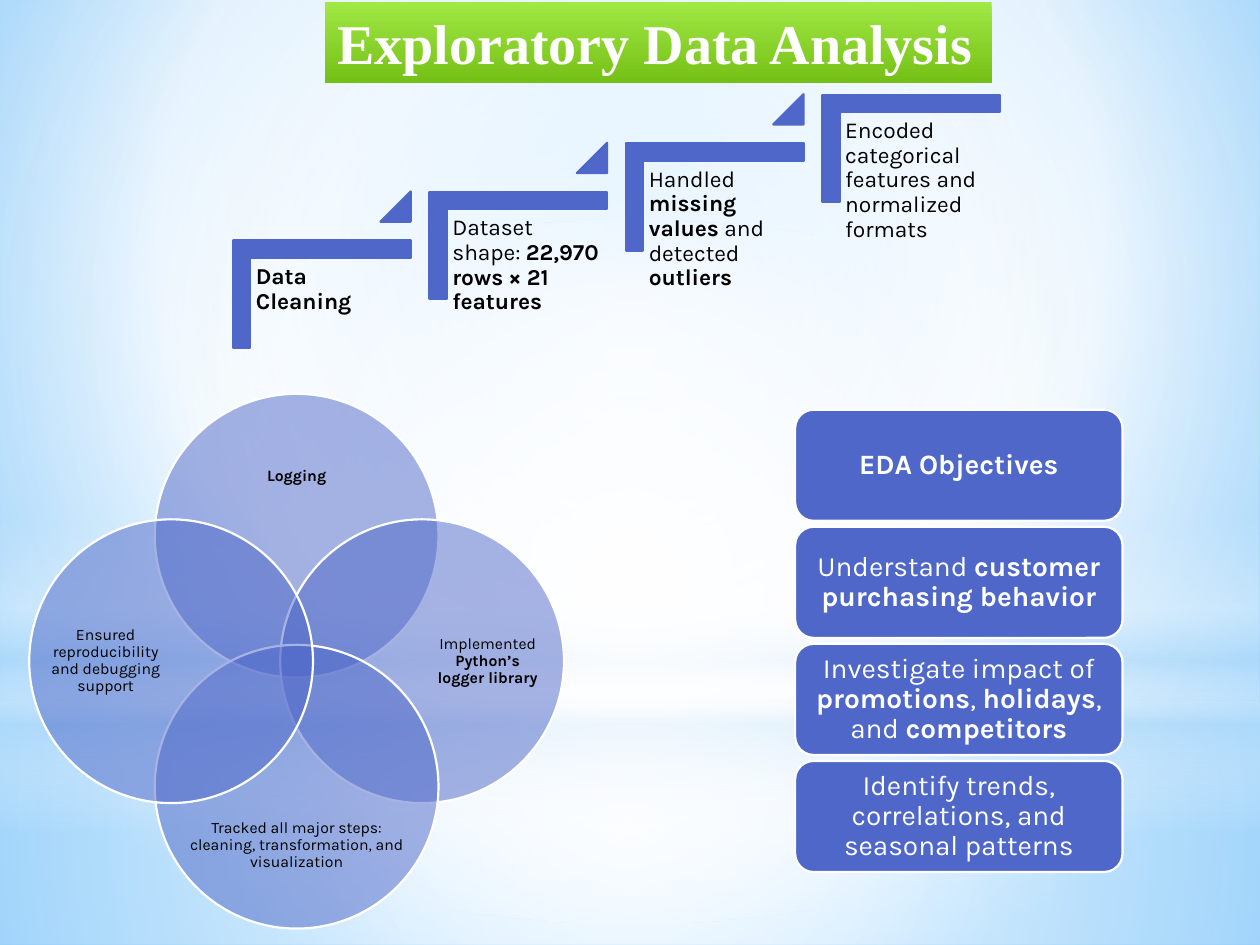
from lxml.etree import SubElement
from pptx import Presentation
from pptx.dml.color import RGBColor
from pptx.enum.shapes import MSO_SHAPE as Shape
from pptx.enum.text import MSO_ANCHOR as Anchor, MSO_AUTO_SIZE as AutoSize, PP_ALIGN as Align
from pptx.oxml.ns import qn
from pptx.util import Cm, Pt

BLUE, WHITE, BLACK, PALE = "4E67C8", "FFFFFF", "000000", "B4DCFA"
CENTRE = (50, 50, 50, 50)

STEPS = [
    "**Data Cleaning**",
    "Dataset shape: **22,970 rows × 21 features**",
    "Handled **missing values** and detected **outliers**",
    "Encoded categorical features and normalized formats",
]
PETALS = [
    (0, -1, "**Logging**"),
    (1, 0, "Implemented **Python’s logger library**"),
    (0, 1, "Tracked all major steps: cleaning, transformation, and visualization"),
    (-1, 0, "Ensured reproducibility and debugging support"),
]
OBJECTIVES = [
    "**EDA Objectives**",
    "Understand **customer purchasing behavior**",
    "Investigate impact of **promotions**, **holidays**, and **competitors**",
    "Identify trends, correlations, and seasonal patterns",
]


def colour(value):
    return RGBColor.from_string(value)


def set_alpha(colour_node, percent):
    SubElement(colour_node, qn("a:alpha"), val=str(percent * 1000))


def set_gradient(fill, holder, stops, angle=90, focus=None):
    fill.gradient()
    gradient = next(holder.iter(qn("a:gradFill")))
    for child in list(gradient):
        gradient.remove(child)
    stop_list = SubElement(gradient, qn("a:gsLst"))
    for position, value, alpha in stops:
        stop = SubElement(stop_list, qn("a:gs"), pos=str(position * 1000))
        set_alpha(SubElement(stop, qn("a:srgbClr"), val=value), alpha)
    if focus:
        radial = SubElement(gradient, qn("a:path"))
        radial.set("path", "circle")
        sides = {side: str(part * 1000) for side, part in zip("ltrb", focus)}
        SubElement(radial, qn("a:fillToRect"), sides)
    else:
        SubElement(gradient, qn("a:lin"), ang=str(angle * 60000), scaled="0")


def add_figure(page, kind, left, top, width, height, fill=None, alpha=None, line=None):
    figure = page.shapes.add_shape(kind, Cm(left), Cm(top), Cm(width), Cm(height))
    figure.shadow.inherit = False
    if fill:
        figure.fill.solid()
        figure.fill.fore_color.rgb = colour(fill)
        if alpha:
            set_alpha(next(figure.element.spPr.iter(qn("a:srgbClr"))), alpha)
    if line:
        figure.line.color.rgb = colour(line)
        figure.line.width = Pt(1.25)
    else:
        figure.line.fill.background()
    return figure


def add_glow(page, kind, left, top, width, height, stops, **gradient_format):
    figure = add_figure(page, kind, left, top, width, height)
    set_gradient(figure.fill, figure.element.spPr, stops, **gradient_format)
    return figure


def add_box(page, left, top, width, height):
    return page.shapes.add_textbox(Cm(left), Cm(top), Cm(width), Cm(height))


def write(box, text, size, font="Karla", ink=BLACK, align=Align.CENTER,
          anchor=Anchor.MIDDLE, inset=(0, 0), spacing=0.9, wrap=True):
    frame = box.text_frame
    frame.word_wrap = wrap
    frame.vertical_anchor = anchor
    frame.margin_left = frame.margin_right = Cm(inset[0])
    frame.margin_top = frame.margin_bottom = Cm(inset[1])
    para = frame.paragraphs[0]
    para.alignment = align
    para.line_spacing = spacing
    for index, part in enumerate(text.split("**")):
        if part:
            span = para.add_run()
            span.text = part
            span.font.name = font
            span.font.size = Pt(size)
            span.font.bold = index % 2 == 1
            span.font.color.rgb = colour(ink)


def add_backdrop(page):
    set_gradient(page.background.fill, page.element,
                 [(0, "9ED5FF", 100), (60, WHITE, 100), (100, "5BB9FF", 100)],
                 focus=(20, 10, 20, 60))
    add_glow(page, Shape.RECTANGLE, 0, 14.17, 25.4, 4.88,
             [(0, WHITE, 91), (37, WHITE, 76), (100, PALE, 79)], focus=CENTRE)
    add_glow(page, Shape.RECTANGLE, 0, 0, 25.4, 14.17,
             [(0, WHITE, 89), (48, WHITE, 62), (100, PALE, 79)], focus=CENTRE)
    add_glow(page, Shape.RECTANGLE, 0, 10.46, 25.4, 6.35,
             [(0, WHITE, 0), (29, WHITE, 30), (45, PALE, 40),
              (55, WHITE, 26), (65, PALE, 60), (100, WHITE, 0)])
    add_glow(page, Shape.OVAL, 0, 4.45, 25.4, 14.17,
             [(0, WHITE, 100), (56, WHITE, 0)], focus=CENTRE)


def add_title(page):
    banner = add_glow(page, Shape.RECTANGLE, 6.55, 0.05, 13.44, 1.62,
                      [(0, "A0E844", 100), (100, "75C016", 100)])
    write(banner, "**Exploratory Data Analysis**", 32, font="Times New Roman", ink=WHITE,
          align=Align.LEFT, anchor=Anchor.TOP, inset=(0.25, 0.13), spacing=1, wrap=False)
    banner.text_frame.auto_size = AutoSize.SHAPE_TO_FIT_TEXT


def add_staircase(page):
    for index, text in enumerate(STEPS):
        right, up = 3.96 * index, 0.98 * index
        corner = add_figure(page, Shape.CORNER, 5.41 + right, 4.14 - up, 2.16, 3.58,
                            fill=BLUE, line=BLUE)
        corner.rotation = 90
        corner.adjustments[0] = corner.adjustments[1] = 0.16
        write(add_box(page, 5.03 + right, 5.21 - up, 3.23, 2.84), text, 13,
              align=Align.LEFT, anchor=Anchor.TOP, inset=(0.13, 0.13))
        if index < len(STEPS) - 1:
            arrow = add_figure(page, Shape.ISOSCELES_TRIANGLE, 7.67 + right, 3.86 - up,
                               0.61, 0.61, fill=BLUE, line=BLUE)
            arrow.adjustments[0] = 1


def add_venn(page):
    centre_x, centre_y, diameter, reach = 5.98, 13.33, 5.72, 2.53
    for across, down, text in PETALS:
        add_figure(page, Shape.OVAL, centre_x + across * reach - diameter / 2,
                   centre_y + down * reach - diameter / 2, diameter, diameter,
                   fill=BLUE, alpha=50, line=WHITE)
        width, height = (2.21, 4.39) if across else (4.39, 1.8)
        caption = add_box(page, centre_x + across * 3.85 - width / 2,
                          centre_y + down * 3.72 - height / 2, width, height)
        write(caption, text, 9)


def add_objectives(page):
    for index, text in enumerate(OBJECTIVES):
        card = add_figure(page, Shape.ROUNDED_RECTANGLE, 16.03, 8.26 + 2.36 * index,
                          6.6, 2.24, fill=BLUE, line=WHITE)
        write(card, text, 16, ink=WHITE, inset=(0.17, 0.08))


def main():
    deck = Presentation()
    deck.slide_width, deck.slide_height = Cm(25.4), Cm(19.05)
    page = deck.slides.add_slide(deck.slide_layouts[6])
    add_backdrop(page)
    add_title(page)
    add_staircase(page)
    add_venn(page)
    add_objectives(page)
    deck.save("out.pptx")


if __name__ == "__main__":
    main()
